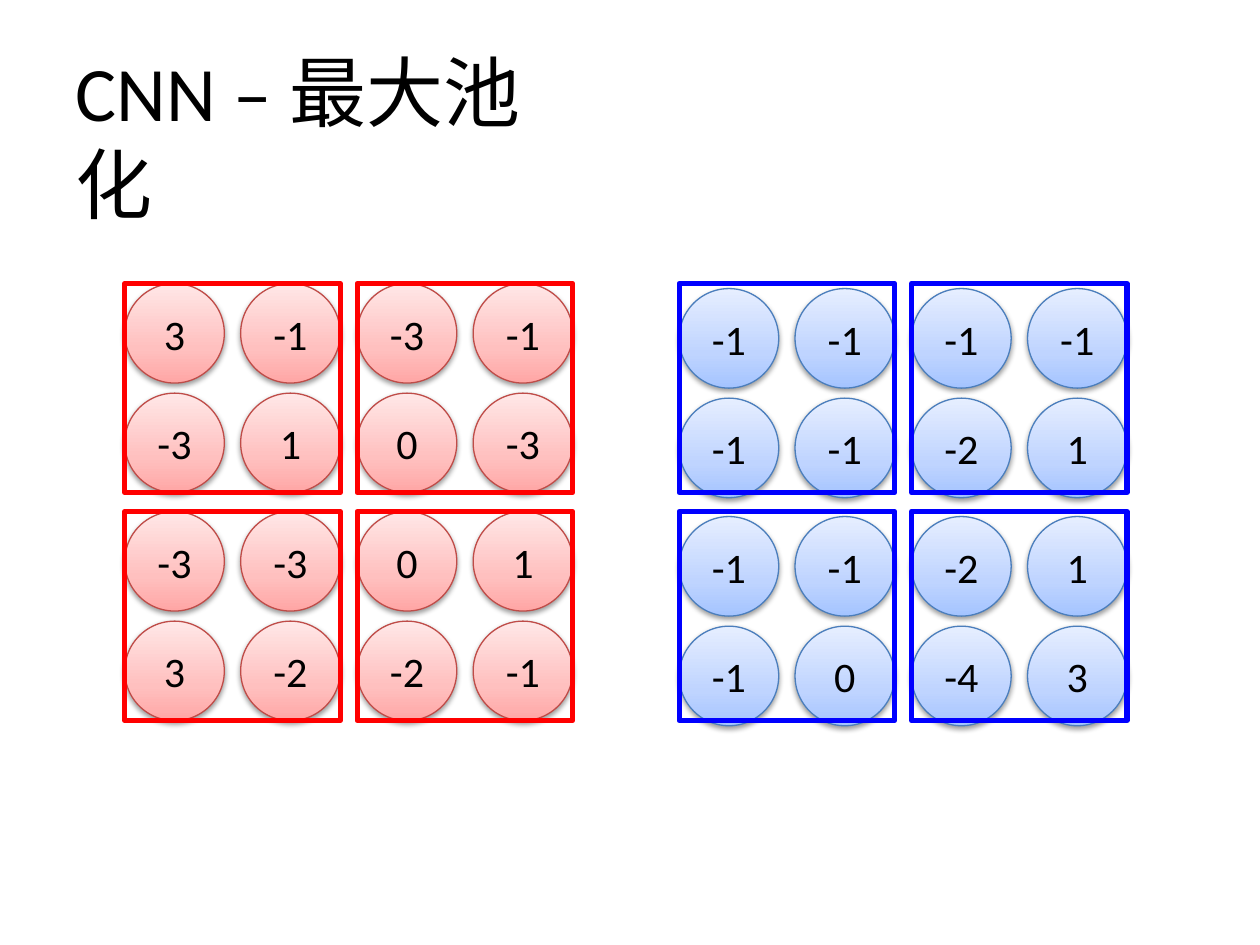
from copy import deepcopy
from itertools import product

from lxml.etree import SubElement
from pptx import Presentation
from pptx.dml.color import RGBColor
from pptx.enum.shapes import MSO_SHAPE
from pptx.enum.text import MSO_ANCHOR, MSO_AUTO_SIZE, PP_ALIGN
from pptx.oxml.ns import qn
from pptx.util import Inches, Pt

COLORS = {
    "text": "000000",
    "shadow": "000000",
    "red_window": "FF0000",
    "red_edge": "BF4C48",
    "red_fill": ("FFA6A5", "FFC0BF", "FFE7E7"),
    "blue_window": "0000FF",
    "blue_edge": "4B7EBC",
    "blue_fill": ("A4C4FF", "BFD4FF", "E6EEFF"),
}
GRADIENT_POSITIONS = (0, 0.35, 1)

# Inches: a feature map is 2 x 2 pooling windows of 2 x 2 neurons each.
NEURON_SIZE = 0.79
NEURON_PITCH = (0.92, 0.87)
WINDOW_SIZE = (1.71, 1.66)
WINDOW_PITCH = (1.845, 1.81)
MAP_TOP = 2.25

# Hue, left edge, drop of the neurons below the window top, values.
FEATURE_MAPS = [
    ("red", 0.99, 0, [[3, -1, -3, -1], [-3, 1, 0, -3],
                      [-3, -3, 0, 1], [3, -2, -2, -1]]),
    ("blue", 5.39, 0.04, [[-1, -1, -1, -1], [-1, -1, -2, 1],
                          [-1, -1, -2, 1], [-1, 0, -4, 3]]),
]


class PoolingSlide:
    """Holds the slide and the style shared by its elements."""

    font_name = "Calibri"

    def __init__(self, presentation):
        self.slide = presentation.slides.add_slide(presentation.slide_layouts[5])

    def style_paragraph(self, paragraph, size, alignment):
        paragraph.alignment = alignment
        paragraph.font.name = self.font_name
        paragraph.font.size = Pt(size)
        paragraph.font.color.rgb = RGBColor.from_string(COLORS["text"])

    def add_outlined(self, preset, left, top, width, height, color, weight):
        shape = self.slide.shapes.add_shape(
            preset, *map(Inches, (left, top, width, height)))
        shape.shadow.inherit = False
        shape.line.color.rgb = RGBColor.from_string(COLORS[color])
        shape.line.width = Pt(weight)
        return shape

    def set_title(self, wording):
        title = self.slide.shapes.title
        title.left, title.top, title.width, title.height = map(
            Inches, (0.5, 0.3, 4.34, 0.84))
        frame = title.text_frame
        frame.text = wording
        frame.word_wrap = True
        frame.auto_size = MSO_AUTO_SIZE.NONE
        frame.vertical_anchor = MSO_ANCHOR.TOP
        frame.margin_right = Inches(0.2)
        self.style_paragraph(frame.paragraphs[0], 44, PP_ALIGN.LEFT)

    def add_neuron(self, left, top, value, hue):
        neuron = self.add_outlined(MSO_SHAPE.OVAL, left, top, NEURON_SIZE,
                                   NEURON_SIZE, f"{hue}_edge", 0.75)
        self.fill_gradient(neuron, COLORS[f"{hue}_fill"])
        self.drop_shadow(neuron)
        frame = neuron.text_frame
        frame.text = str(value)
        frame.vertical_anchor = MSO_ANCHOR.MIDDLE
        self.style_paragraph(frame.paragraphs[0], 24, PP_ALIGN.CENTER)

    def add_window(self, left, top, hue):
        window = self.add_outlined(MSO_SHAPE.RECTANGLE, left, top, *WINDOW_SIZE,
                                   f"{hue}_window", 3)
        window.fill.background()

    @staticmethod
    def fill_gradient(shape, colors):
        """Fill from bottom to top with three stops."""
        shape.fill.gradient()
        shape.fill.gradient_angle = 90
        stop_list = shape.element.spPr.find(".//" + qn("a:gsLst"))
        stop_list.insert(1, deepcopy(stop_list[0]))
        for stop, position, color in zip(
                stop_list, GRADIENT_POSITIONS, colors):
            stop.set("pos", str(round(position * 100000)))
            for old_color in list(stop):
                stop.remove(old_color)
            SubElement(stop, qn("a:srgbClr"), val=color)

    @staticmethod
    def drop_shadow(shape):
        effects = shape.element.spPr.find(qn("a:effectLst"))
        shadow = SubElement(effects, qn("a:outerShdw"), blurRad=str(Pt(3.1)),
                            dist=str(Pt(1.6)), dir="5400000", rotWithShape="0")
        color = SubElement(shadow, qn("a:srgbClr"), val=COLORS["shadow"])
        SubElement(color, qn("a:alpha"), val="38000")

    def add_feature_map(self, hue, map_left, neuron_drop, values):
        for row, column in product(range(4), repeat=2):
            window_row, inner_row = divmod(row, 2)
            window_column, inner_column = divmod(column, 2)
            self.add_neuron(
                map_left + window_column * WINDOW_PITCH[0]
                + inner_column * NEURON_PITCH[0],
                MAP_TOP + neuron_drop + window_row * WINDOW_PITCH[1]
                + inner_row * NEURON_PITCH[1],
                values[row][column], hue)
        for row, column in product(range(2), repeat=2):
            self.add_window(map_left + column * WINDOW_PITCH[0],
                            MAP_TOP + row * WINDOW_PITCH[1], hue)


def main():
    presentation = Presentation()
    presentation.slide_width = Inches(10)
    presentation.slide_height = Inches(7.5)
    pooling = PoolingSlide(presentation)
    pooling.set_title("CNN – 最大池化")
    for feature_map in FEATURE_MAPS:
        pooling.add_feature_map(*feature_map)
    presentation.save("out.pptx")


if __name__ == "__main__":
    main()
